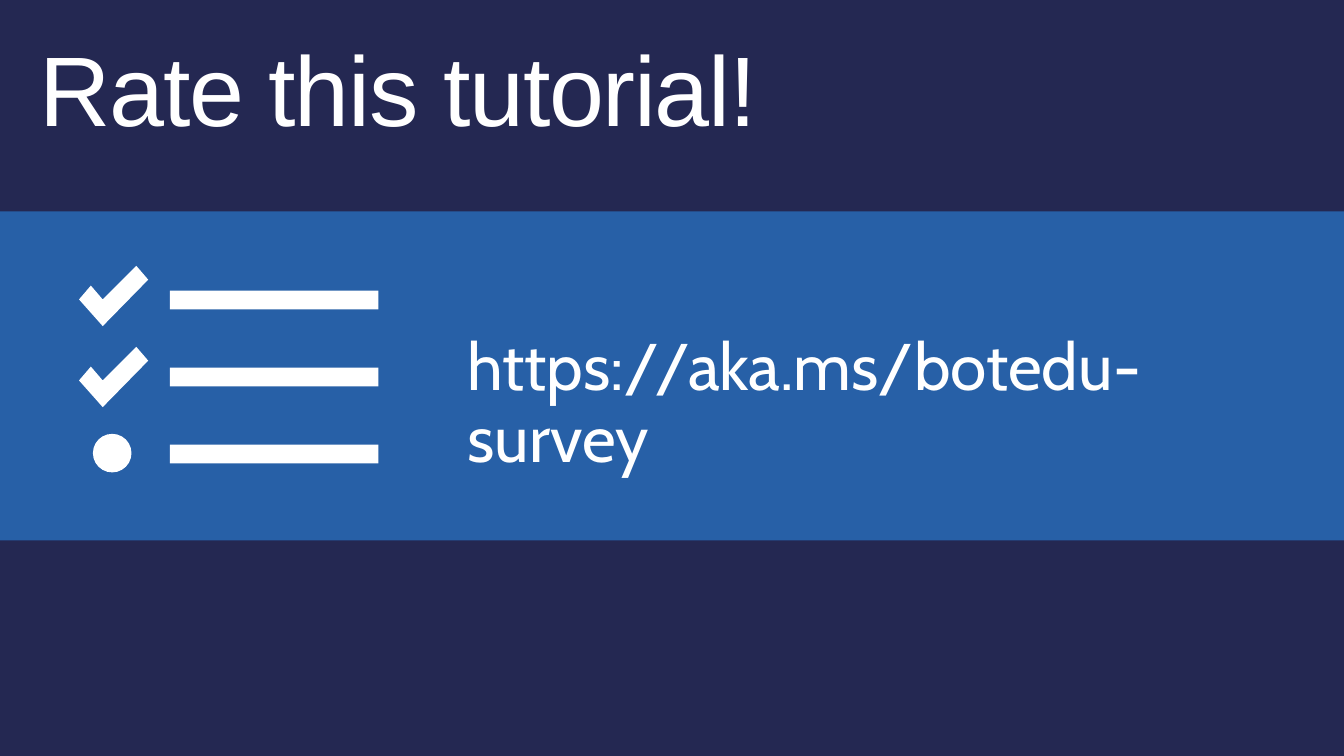
from lxml import etree
from pptx import Presentation
from pptx.dml.color import RGBColor
from pptx.enum.shapes import MSO_SHAPE
from pptx.enum.text import MSO_ANCHOR, MSO_AUTO_SIZE, PP_ALIGN
from pptx.oxml.ns import qn
from pptx.util import Inches, Pt

RECTANGLE, OVAL = MSO_SHAPE.RECTANGLE, MSO_SHAPE.OVAL
TOP, LEFT = MSO_ANCHOR.TOP, PP_ALIGN.LEFT
GROW, FIXED = MSO_AUTO_SIZE.SHAPE_TO_FIT_TEXT, MSO_AUTO_SIZE.NONE
TITLE_ONLY = 5
WIDTH, HEIGHT = 13.6, 7.65
COLUMNS = 136  # square grid cells, so rows have the same size
CELL = WIDTH / COLUMNS


def color(hex_value):
    return RGBColor.from_string(hex_value)


def grid(cells):
    return Inches(cells * CELL)


class SlideBuilder:
    NAVY, BLUE, WHITE = "242852", "297FD5", "FFFFFF"
    HEADING_FONT, BODY_FONT = "Arial", "Cabin"

    def __init__(self, slide):
        self.slide = slide
        slide.background.fill.solid()
        slide.background.fill.fore_color.rgb = color(self.NAVY)

    def paint(self, shape, fill, opacity=100):
        shape.shadow.inherit = False
        shape.fill.solid()
        shape.fill.fore_color.rgb = color(fill)
        shape.line.fill.background()
        if opacity < 100:
            rgb = shape.element.spPr.find(".//" + qn("a:srgbClr"))
            etree.SubElement(rgb, qn("a:alpha"), val=str(opacity * 1000))

    def shape(self, kind, box, fill, opacity=100):
        added = self.slide.shapes.add_shape(kind, *map(grid, box))
        self.paint(added, fill, opacity)

    def outline(self, points, fill):
        start, *others = [(grid(x), grid(y)) for x, y in points]
        builder = self.slide.shapes.build_freeform(*start)
        builder.add_line_segments(others, close=True)
        self.paint(builder.convert_to_shape(), fill)

    def fill_text(self, holder, text, font, size, insets, fit):
        frame = holder.text_frame
        frame.text = text
        frame.word_wrap = True
        frame.auto_size = fit
        frame.vertical_anchor = TOP
        frame.margin_left = frame.margin_right = Inches(insets[0])
        frame.margin_top = frame.margin_bottom = Inches(insets[1])
        paragraph = frame.paragraphs[0]
        paragraph.alignment = LEFT
        paragraph.line_spacing = 0.9
        paragraph.font.name = font
        paragraph.font.size = Pt(size)
        paragraph.font.color.rgb = color(self.WHITE)
        return paragraph

    def title(self, text, box):
        heading = self.slide.shapes.title
        heading.left, heading.top, heading.width, heading.height = map(grid, box)
        paragraph = self.fill_text(
            heading, text, self.HEADING_FONT, 72, (0.1, 0.1), GROW)
        # Letter spacing in hundredths of a point
        paragraph.runs[0]._r.get_or_add_rPr().set("spc", "-100")

    def text(self, text, box):
        holder = self.slide.shapes.add_textbox(*map(grid, box))
        self.fill_text(holder, text, self.BODY_FONT, 48, (0.2, 0.16), FIXED)


def main():
    deck = Presentation()
    deck.slide_width, deck.slide_height = Inches(WIDTH), Inches(HEIGHT)
    page = SlideBuilder(deck.slides.add_slide(deck.slide_layouts[TITLE_ONLY]))

    # Heading
    page.title("Rate this tutorial!", (3, 3.2, 130, 10))

    # Band with the survey address
    page.shape(RECTANGLE, (0, 21.4, COLUMNS, 33.3), page.BLUE, opacity=65)
    page.text("https://aka.ms/botedu-survey", (45.3, 32.2, 87.9, 14.2))

    # Checklist: three entries, two ticked and one open
    for entry in range(3):
        page.shape(RECTANGLE, (17.2, 29.4 + 7.8 * entry, 21.1, 1.9), page.WHITE)
    tick = [(2.4, 6.1), (0, 3.4), (1.2, 2), (2.4, 3.4), (5.8, 0), (7, 1.4)]
    for entry in range(2):
        tick_top = 26.9 + 8.2 * entry
        page.outline([(8 + x, tick_top + y) for x, y in tick], page.WHITE)
    page.shape(OVAL, (9.4, 43.9, 3.9, 3.9), page.WHITE)

    deck.save("out.pptx")


if __name__ == "__main__":
    main()
